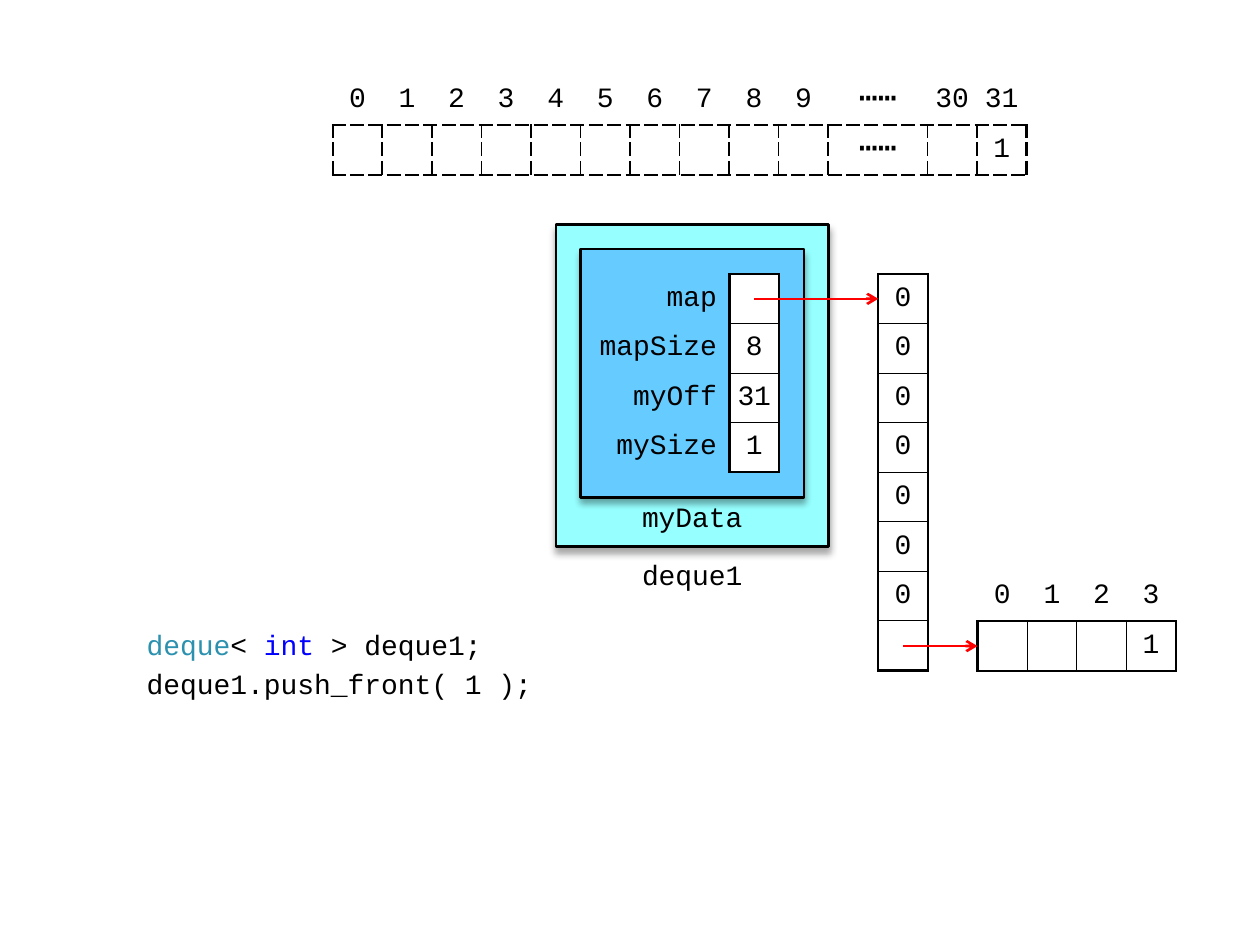
from dataclasses import dataclass

from lxml import etree
from pptx import Presentation
from pptx.dml.color import RGBColor
from pptx.enum.shapes import MSO_CONNECTOR, MSO_SHAPE
from pptx.enum.text import MSO_ANCHOR, PP_ALIGN
from pptx.oxml import parse_xml
from pptx.oxml.ns import nsdecls, qn
from pptx.util import Inches, Pt

PROCESS = MSO_SHAPE.FLOWCHART_PROCESS
STRAIGHT = MSO_CONNECTOR.STRAIGHT
TOP, MIDDLE = MSO_ANCHOR.TOP, MSO_ANCHOR.MIDDLE
LEFT, CENTER, RIGHT = PP_ALIGN.LEFT, PP_ALIGN.CENTER, PP_ALIGN.RIGHT
NO_TABLE_STYLE = "{2D5ABB26-0587-4C30-8999-92F81FD0307C}"

# Everything sits on a one-centimetre grid that starts at the dashed array
UNIT = 1 / 2.54
GRID_LEFT, GRID_TOP = 2.64, 0.6
DOTS = "⋯⋯"


@dataclass(frozen=True)
class Theme:
    font: str = "Courier New"
    size: int = 16
    dots_size: int = 18
    black: str = "000000"
    white: str = "FFFFFF"
    outer: str = "96FFFF"
    inner: str = "66CCFF"
    arrow: str = "FF0000"
    type_name: str = "2B91AF"
    keyword: str = "0000FF"
    thick: float = 1.5
    thin: float = 0.75


def span(units):
    return Inches(units * UNIT)


def at(col, row):
    return Inches(GRID_LEFT + col * UNIT), Inches(GRID_TOP + row * UNIT)


class Diagram:
    def __init__(self, slide, theme):
        self.s = slide
        self.theme = theme

    def run(self, p, text, color=None, size=None):
        r = p.add_run()
        r.text = text
        r.font.name = self.theme.font
        r.font.size = Pt(size or self.theme.size)
        r.font.color.rgb = RGBColor.from_string(color or self.theme.black)

    def box(self, col, row, width, height, fill):
        sp = self.s.shapes.add_shape(PROCESS, *at(col, row), span(width), span(height))
        sp.fill.solid()
        sp.fill.fore_color.rgb = RGBColor.from_string(fill)
        sp.line.color.rgb = RGBColor.from_string(self.theme.black)
        sp.line.width = Pt(self.theme.thick)
        sp.shadow.inherit = False
        effects = sp._element.spPr.find(qn("a:effectLst"))
        effects.append(parse_xml(
            f'<a:outerShdw {nsdecls("a")} blurRad="{Pt(4)}" dist="{Pt(3)}" '
            f'dir="5400000" rotWithShape="0"><a:srgbClr val="{self.theme.black}">'
            '<a:alpha val="35000"/></a:srgbClr></a:outerShdw>'))

    def text(self, col, row, width, height, lines, align=CENTER, anchor=TOP,
             insets=(0.08, 0.02, 0.08, 0), before=0):
        """Each line is a list of (text, color) runs."""
        sp = self.s.shapes.add_textbox(*at(col, row), span(width), span(height))
        tf = sp.text_frame
        tf.word_wrap = True
        tf.vertical_anchor = anchor
        tf.margin_left, tf.margin_top, tf.margin_right, tf.margin_bottom = map(Inches, insets)
        for i, runs in enumerate(lines):
            p = tf.add_paragraph() if i else tf.paragraphs[0]
            p.alignment = align
            p.space_before = Pt(before)
            for text, color in runs:
                self.run(p, text, color)

    def arrow(self, start, end):
        line = self.s.shapes.add_connector(STRAIGHT, *at(*start), *at(*end))
        line.line.color.rgb = RGBColor.from_string(self.theme.arrow)
        line.line.width = Pt(self.theme.thick)
        etree.SubElement(line.line._get_or_add_ln(), qn("a:tailEnd"), type="arrow")
        etree.SubElement(line._element.spPr, qn("a:effectLst"))

    def borders(self, cell, widths, dash):
        """Widths in the order left, right, top, bottom."""
        for i, (side, width) in enumerate(zip("LRTB", widths)):
            cell._tc.get_or_add_tcPr().insert(i, parse_xml(
                f'<a:ln{side} {nsdecls("a")} w="{Pt(width)}"><a:solidFill>'
                f'<a:srgbClr val="{self.theme.black}"/></a:solidFill>'
                f'<a:prstDash val="{dash}"/></a:ln{side}>'))

    def table(self, col, row, widths, rows, first=(0, 0), inner=None, dash="solid"):
        """Cells from `first` (row, column) on form a boxed grid; the rest are labels."""
        t = self.theme
        inner = inner or t.thin
        frame = self.s.shapes.add_table(len(rows), len(widths), *at(col, row),
                                        span(sum(widths)), span(len(rows)))
        tbl = frame.table
        tbl.first_row = tbl.horz_banding = False
        tbl._tbl.tblPr.find(qn("a:tableStyleId")).text = NO_TABLE_STYLE
        for column, width in zip(tbl.columns, widths):
            column.width = span(width)
        for i, values in enumerate(rows):
            tbl.rows[i].height = span(1)
            for j, value in enumerate(values):
                cell = tbl.cell(i, j)
                side_label = j < first[1]
                cell.vertical_anchor = MIDDLE
                cell.margin_top = cell.margin_bottom = Inches(0.04)
                cell.margin_left = cell.margin_right = Inches(0.1 if side_label else 0.04)
                p = cell.text_frame.paragraphs[0]
                p.alignment = RIGHT if side_label else CENTER
                if value:
                    self.run(p, value, size=t.dots_size if value == DOTS else None)
                if i < first[0] or side_label:
                    cell.fill.background()
                    continue
                cell.fill.solid()
                cell.fill.fore_color.rgb = RGBColor.from_string(t.white)
                on_edge = (j == first[1], j == len(widths) - 1,
                           i == first[0], i == len(rows) - 1)
                self.borders(cell, [t.thick if edge else inner for edge in on_edge], dash)


def main():
    prs = Presentation()
    prs.slide_width, prs.slide_height = Inches(10), Inches(7.5)
    theme = Theme()
    d = Diagram(prs.slides.add_slide(prs.slide_layouts[6]), theme)

    # Nested object boxes with their names
    d.box(4.5, 3, 5.5, 6.5, theme.outer)
    d.box(5, 3.5, 4.5, 5, theme.inner)
    d.text(5.5, 9.5, 3.5, 1, [[("deque1", theme.black)]], anchor=MIDDLE,
           insets=(0.08, 0.04, 0.08, 0))
    d.text(6, 8.5, 2.5, 1, [[("myData", theme.black)]])

    # Code
    d.text(-4, 11, 12.5, 5, [
        [("deque", theme.type_name), ("< ", theme.black),
         ("int", theme.keyword), (" > deque1;", theme.black)],
        [("deque1.push_front( 1 );", theme.black)],
    ], align=LEFT, insets=(0.1, 0.05, 0.1, 0.05), before=3)

    # Members and the map they point to
    d.table(5, 4, [3, 1], [["map", ""], ["mapSize", "8"], ["myOff", "31"], ["mySize", "1"]],
            first=(0, 1))
    d.table(11, 4, [1], [["0"]] * 7 + [[""]])
    d.arrow((8.5, 4.5), (11, 4.5))

    # Logical array of all 32 positions
    d.table(0, 0, [1] * 10 + [2, 1, 1],
            [[str(n) for n in range(10)] + [DOTS, "30", "31"],
             [""] * 10 + [DOTS, "", "1"]],
            first=(1, 0), inner=1, dash="sysDash")

    # Allocated block
    d.table(13, 10, [1] * 4, [[str(n) for n in range(4)], ["", "", "", "1"]], first=(1, 0))
    d.arrow((11.5, 11.5), (13, 11.5))

    prs.save("out.pptx")


if __name__ == "__main__":
    main()
